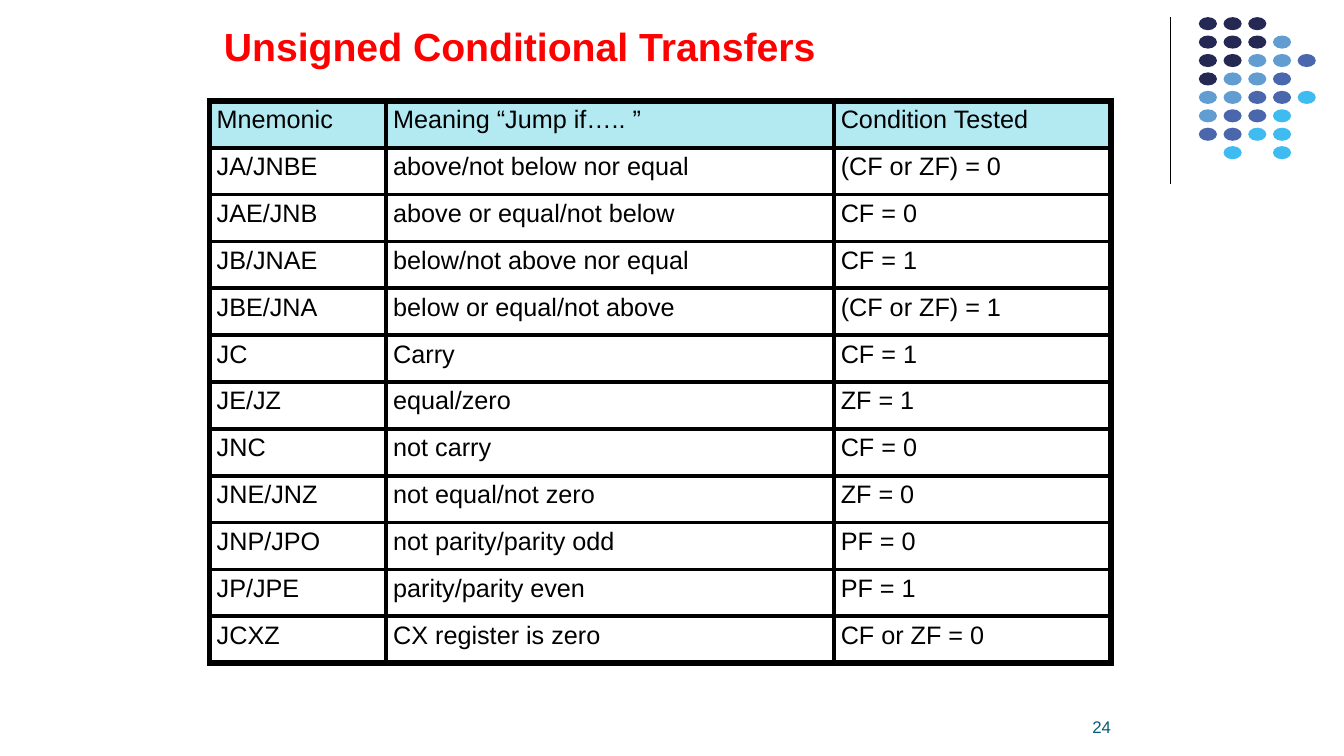
from dataclasses import dataclass

from lxml.etree import SubElement
from pptx import Presentation
from pptx.dml.color import RGBColor
from pptx.enum.shapes import MSO_CONNECTOR, MSO_SHAPE
from pptx.enum.text import MSO_ANCHOR, MSO_AUTO_SIZE, PP_ALIGN
from pptx.oxml.ns import qn
from pptx.util import Emu, Pt

TITLE = "Unsigned Conditional Transfers"
PAGE_NUMBER = "24"
JUMPS = [
    ("Mnemonic", "Meaning “Jump if….. ”", "Condition Tested"),
    ("JA/JNBE", "above/not below nor equal", "(CF or ZF) = 0"),
    ("JAE/JNB", "above or equal/not below", "CF = 0"),
    ("JB/JNAE", "below/not above nor equal", "CF = 1"),
    ("JBE/JNA", "below or equal/not above", "(CF or ZF) = 1"),
    ("JC", "Carry", "CF = 1"),
    ("JE/JZ", "equal/zero", "ZF = 1"),
    ("JNC", "not carry", "CF = 0"),
    ("JNE/JNZ", "not equal/not zero", "ZF = 0"),
    ("JNP/JPO", "not parity/parity odd", "PF = 0"),
    ("JP/JPE", "parity/parity even", "PF = 1"),
    ("JCXZ", "CX register is zero", "CF or ZF = 0"),
]
# One letter per dot: navy, sky, blue, cyan
DOTS = ["NNN..", "NNNS.", "NNSSB", "NSSB.", "SSBBC", "SBBC.", "BBCC.", ".C.C."]


@dataclass(frozen=True)
class Theme:
    font: str = "Arial"
    title: str = "FF0000"
    ink: str = "000000"
    number: str = "035C75"
    header: str = "B3EAF2"
    dots: tuple = (("N", "242852"), ("S", "629DD1"), ("B", "4A66AC"), ("C", "3EBBF0"))
    title_size: int = 28
    cell_size: int = 18
    number_size: int = 12
    outer_border: float = 4.5
    inner_border: float = 3
    divider: float = 0.75


THEME = Theme()
EMU_PER_PX = 9144  # 100 px to the inch
COLUMN_WIDTHS = (175, 444, 275)
TABLE_LEFT, TABLE_TOP, TABLE_HEIGHT = 208, 100, 558
DOT_LEFT, DOT_TOP, DOT_WIDTH, DOT_HEIGHT = 1189, 17, 18, 13
DOT_SPAN_X, DOT_SPAN_Y = 98, 128


def px(length):
    return Emu(round(length * EMU_PER_PX))


def box(*lengths):
    return [px(length) for length in lengths]


def write(frame, text, size, color, bold=False, align=PP_ALIGN.LEFT):
    paragraph = frame.paragraphs[0]
    paragraph.alignment = align
    run = paragraph.add_run()
    run.text = text
    run.font.name = THEME.font
    run.font.size = Pt(size)
    run.font.bold = bold
    run.font.color.rgb = RGBColor.from_string(color)


def set_borders(cell, widths):
    """Draw the cell's sides; widths are points for left, right, top, bottom."""
    properties = cell._tc.get_or_add_tcPr()
    for side, width in zip(("lnL", "lnR", "lnT", "lnB"), widths):
        line = SubElement(properties, qn(f"a:{side}"), w=str(Pt(width)))
        fill = SubElement(line, qn("a:solidFill"))
        SubElement(fill, qn("a:srgbClr"), val=THEME.ink)


def add_divider(slide):
    divider = slide.shapes.add_connector(MSO_CONNECTOR.STRAIGHT, *box(1161, 17, 1161, 183))
    divider.line.color.rgb = RGBColor.from_string(THEME.ink)
    divider.line.width = Pt(THEME.divider)
    SubElement(divider._element.spPr, qn("a:effectLst"))


def add_dots(slide):
    colors = dict(THEME.dots)
    step_x = DOT_SPAN_X / (len(DOTS[0]) - 1)
    step_y = DOT_SPAN_Y / (len(DOTS) - 1)
    for row, letters in enumerate(DOTS):
        for column, letter in enumerate(letters):
            if letter == ".":
                continue
            dot = slide.shapes.add_shape(MSO_SHAPE.OVAL, *box(
                DOT_LEFT + column * step_x, DOT_TOP + row * step_y, DOT_WIDTH, DOT_HEIGHT))
            dot.shadow.inherit = False
            dot.fill.solid()
            dot.fill.fore_color.rgb = RGBColor.from_string(colors[letter])
            dot.line.fill.background()


def add_page_number(slide):
    frame = slide.shapes.add_textbox(*box(1059, 700, 43, 31)).text_frame
    frame.word_wrap = True
    frame.vertical_anchor = MSO_ANCHOR.BOTTOM
    frame.margin_left = frame.margin_right = frame.margin_top = frame.margin_bottom = 0
    write(frame, PAGE_NUMBER, THEME.number_size, THEME.number, align=PP_ALIGN.RIGHT)


def add_jump_table(slide):
    last_row, last_column = len(JUMPS) - 1, len(COLUMN_WIDTHS) - 1
    table = slide.shapes.add_table(len(JUMPS), len(COLUMN_WIDTHS), *box(
        TABLE_LEFT, TABLE_TOP, sum(COLUMN_WIDTHS), TABLE_HEIGHT)).table
    table.horz_banding = False
    for column, width in zip(table.columns, COLUMN_WIDTHS):
        column.width = px(width)
    for r, jump in enumerate(JUMPS):
        table.rows[r].height = px(TABLE_HEIGHT / len(JUMPS))
        for c, text in enumerate(jump):
            cell = table.cell(r, c)
            cell.margin_left = cell.margin_right = px(7)
            cell.margin_top = cell.margin_bottom = px(5)
            on_edge = (c == 0, c == last_column, r == 0, r == last_row)
            set_borders(cell, [THEME.outer_border if edge else THEME.inner_border
                               for edge in on_edge])
            if r == 0:
                cell.fill.solid()
                cell.fill.fore_color.rgb = RGBColor.from_string(THEME.header)
            else:
                cell.fill.background()
            write(cell.text_frame, text, THEME.cell_size, THEME.ink)


def set_title(slide):
    title = slide.shapes.title
    title.left, title.top, title.width, title.height = box(212, 17, 607, 57)
    frame = title.text_frame
    frame.word_wrap = False
    frame.auto_size = MSO_AUTO_SIZE.NONE
    frame.vertical_anchor = MSO_ANCHOR.TOP
    write(frame, TITLE, THEME.title_size, THEME.title, bold=True)


def main():
    deck = Presentation()
    deck.slide_width, deck.slide_height = box(1333, 750)
    slide = deck.slides.add_slide(deck.slide_layouts[5])
    add_divider(slide)
    add_dots(slide)
    add_page_number(slide)
    add_jump_table(slide)
    set_title(slide)
    deck.save("out.pptx")


if __name__ == "__main__":
    main()
